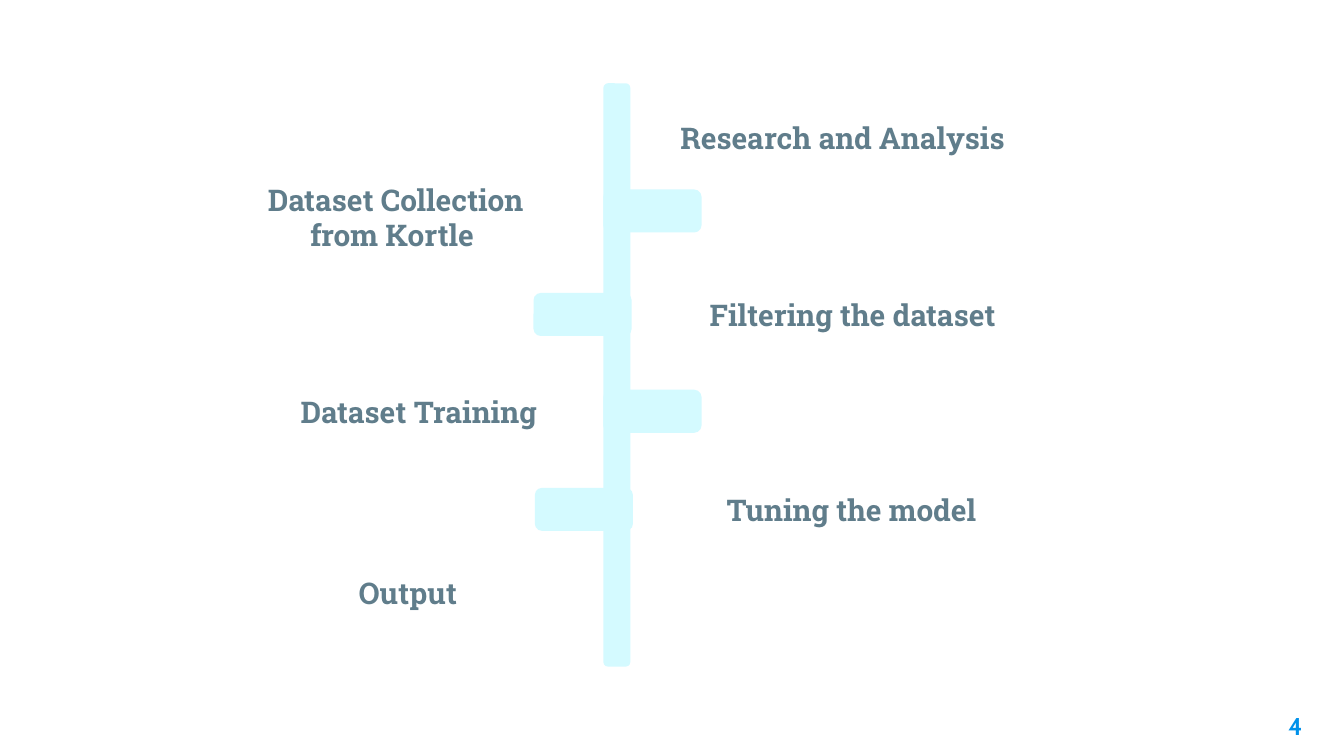
from pptx import Presentation
from pptx.dml.color import RGBColor
from pptx.enum import shapes, text
from pptx.util import Inches, Pt

AQUA, SLATE, BLUE = "D4FAFF", "607D8B", "0091EA"


def add_bar(s, x, y, w, h):
    sp = s.shapes.add_shape(shapes.MSO_SHAPE.ROUNDED_RECTANGLE,
                            Inches(x), Inches(y), Inches(w), Inches(h))
    sp.shadow.inherit = False
    sp.fill.solid()
    sp.fill.fore_color.rgb = RGBColor.from_string(AQUA)
    sp.line.fill.background()


def add_label(s, x, y, w, h, words, font, size, color, align):
    """Add a bold, wrapping text box and return its text frame."""
    tf = s.shapes.add_textbox(Inches(x), Inches(y), Inches(w), Inches(h)).text_frame
    tf.word_wrap = True
    p = tf.paragraphs[0]
    p.text = words
    p.alignment = align
    p.font.name = font
    p.font.size = Pt(size)
    p.font.bold = True
    p.font.color.rgb = RGBColor.from_string(color)
    return tf


prs = Presentation()
prs.slide_width = Inches(10)
prs.slide_height = prs.slide_width * 9 // 16
s = prs.slides.add_slide(prs.slide_layouts[6])

# Slide number
tf = add_label(s, 9.19, 5.19, 0.6, 0.43, "4", "Cabin", 13, BLUE, text.PP_ALIGN.RIGHT)
tf.margin_left = tf.margin_right = tf.margin_top = tf.margin_bottom = Inches(0.1)

# Timeline trunk
add_bar(s, 4.49, 0.62, 0.2, 4.34)

# Steps, each with its own box
steps = [
    (1.73, 1.3, 2.43, 0.64, "Dataset Collection from Kortle "),
    (5.14, 2.16, 2.41, 0.37, "Filtering the dataset"),
    (4.77, 0.84, 3, 0.37, "Research and Analysis"),
    (1.92, 2.88, 2.39, 0.37, "Dataset Training"),
    (5.13, 3.61, 2.41, 0.37, "Tuning the model"),
    (2.1, 4.23, 1.87, 0.37, "Output"),
]
for x, y, w, h, words in steps:
    tf = add_label(s, x, y, w, h, words, "Roboto Slab", 16, SLATE, text.PP_ALIGN.CENTER)
    tf.auto_size = text.MSO_AUTO_SIZE.SHAPE_TO_FIT_TEXT

# Branches on alternate sides of the trunk
for x, y in [(3.97, 2.18), (4.49, 1.41), (4.49, 2.9), (3.98, 3.63)]:
    add_bar(s, x, y, 0.73, 0.32)

prs.save("out.pptx")
